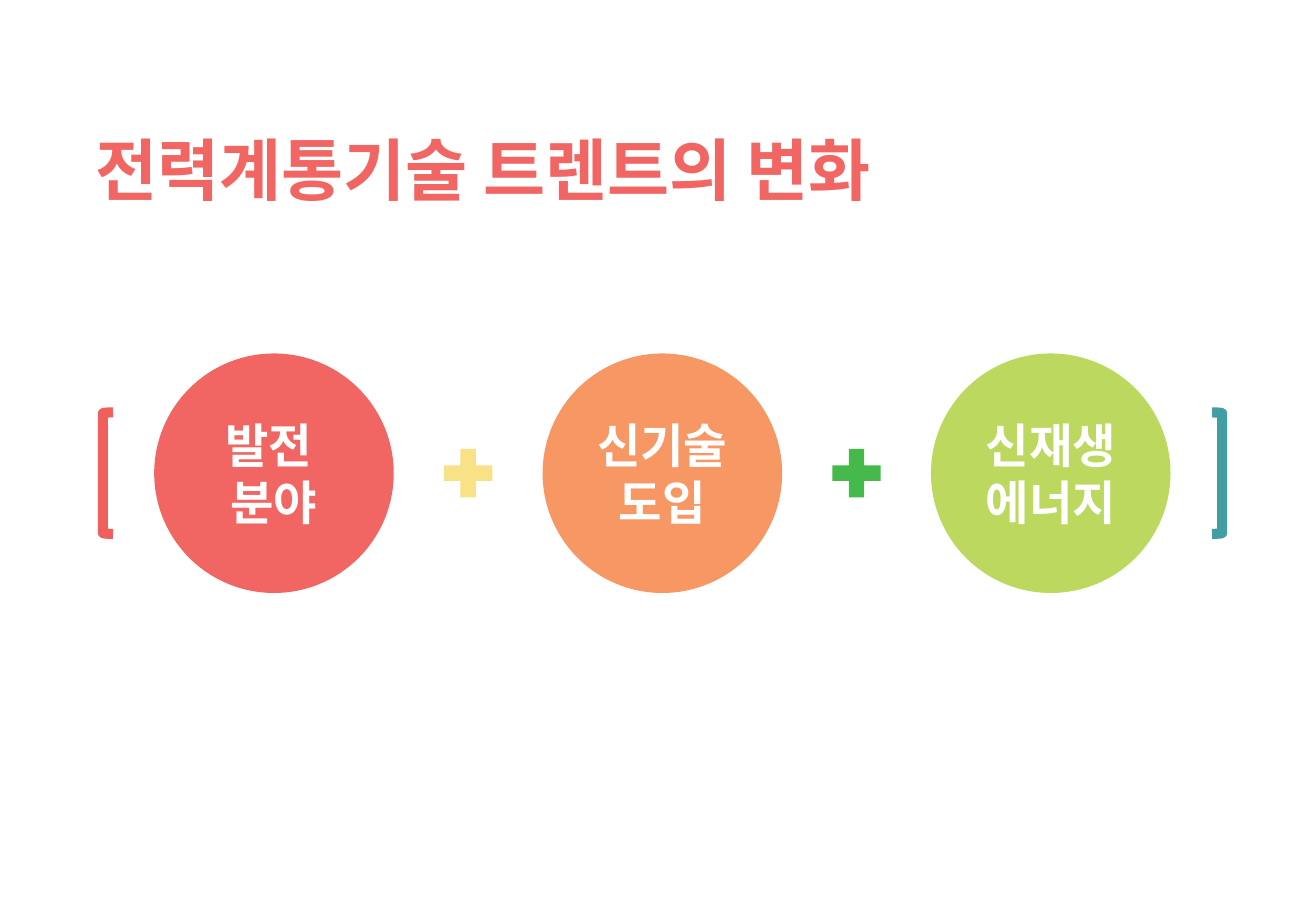
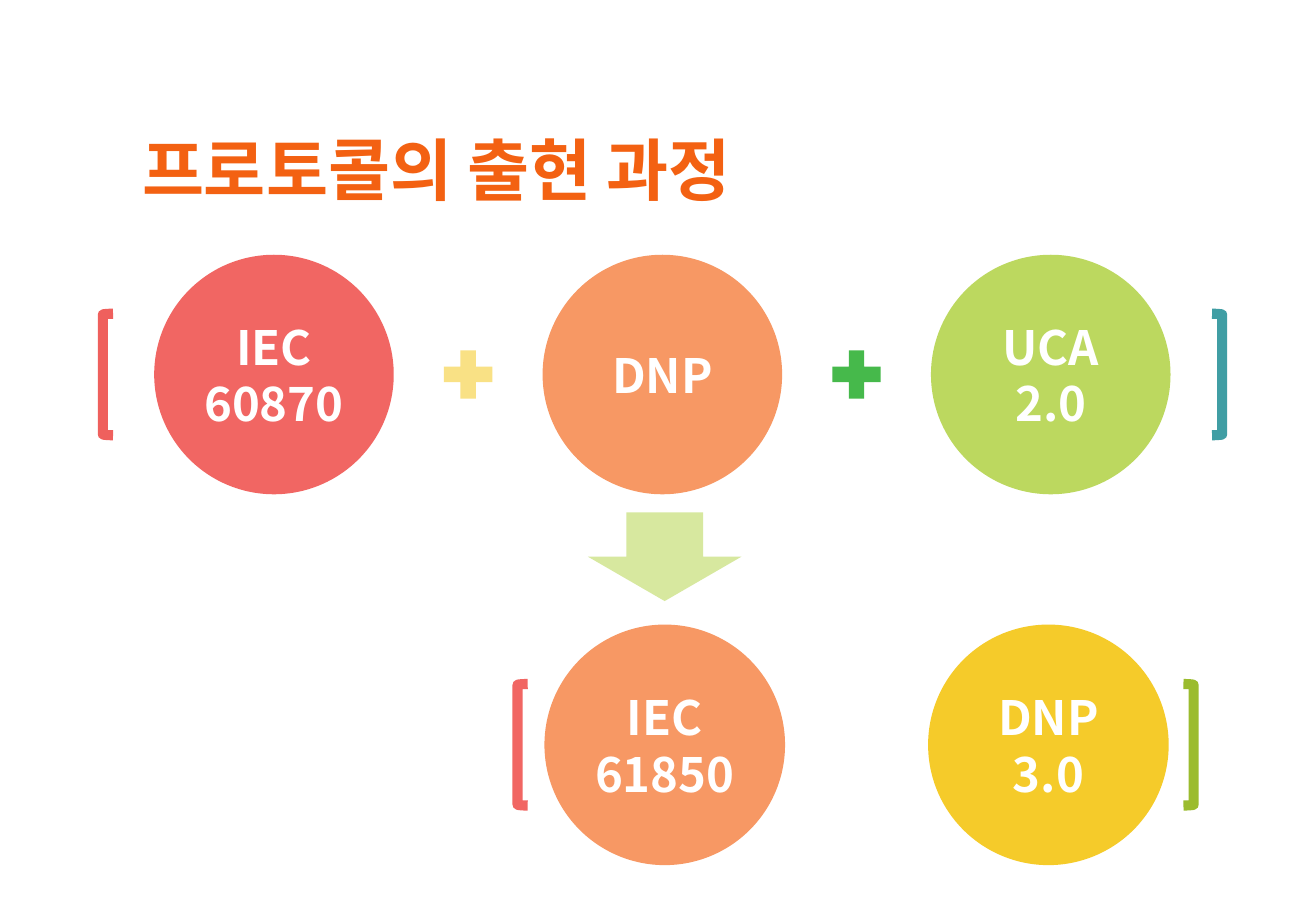
from pptx import Presentation
from pptx.dml.color import RGBColor
from pptx.enum.shapes import MSO_SHAPE
from pptx.enum.text import MSO_ANCHOR, MSO_AUTO_SIZE, PP_ALIGN
from pptx.util import Pt

FONT = "Noto Sans CJK KR"
CORAL, ORANGE, LIME, YELLOW = "F16663", "F79864", "BCD85F", "F5CB2A"
CIRCLE, PLUS, BRACKET_W, BRACKET_H = 142, 39, 6, 72
FIRST_X, PITCH = 162.4, 230.2


def style(p, size, color):
    p.font.name = FONT
    p.font.size = Pt(size)
    p.font.bold = True
    p.font.color.rgb = RGBColor.from_string(color)


def add_centred(s, kind, cx, cy, w, h, color, lines=()):
    """Add a shape around (cx, cy); brackets are outlined, all others filled."""
    sp = s.shapes.add_shape(kind, Pt(cx - w / 2), Pt(cy - h / 2), Pt(w), Pt(h))
    sp.shadow.inherit = False
    rgb = RGBColor.from_string(color)
    if kind in (MSO_SHAPE.LEFT_BRACKET, MSO_SHAPE.RIGHT_BRACKET):
        sp.fill.background()
        sp.line.color.rgb = rgb
        sp.line.width = Pt(6)
    else:
        sp.fill.solid()
        sp.fill.fore_color.rgb = rgb
        sp.line.fill.background()
    tf = sp.text_frame
    tf.vertical_anchor = MSO_ANCHOR.MIDDLE
    for i, text in enumerate(lines):
        p = tf.add_paragraph() if i else tf.paragraphs[0]
        p.text = text
        p.alignment = PP_ALIGN.CENTER
        style(p, 28, "FFFFFF")


prs = Presentation()
prs.slide_width, prs.slide_height = Pt(780), Pt(540)

# title, title colour, title left, title width, row centre, circle texts
slides = [
    ("전력계통기술 트렌트의 변화", CORAL, 49.7, 528, 280.5,
     [["발전 ", "분야"], ["신기술", "도입"], ["신재생", "에너지"]]),
    ("프로토콜의 출현 과정", "F36112", 77, 397.5, 222,
     [["IEC 60870"], ["DNP"], ["UCA", "2.0"]]),
]

for title, color, left, width, cy, texts in slides:
    s = prs.slides.add_slide(prs.slide_layouts[5])
    sp = s.shapes.title
    sp.left, sp.top, sp.width, sp.height = Pt(left), Pt(72), Pt(width), Pt(55.5)
    tf = sp.text_frame
    tf.text = title
    tf.word_wrap = False
    tf.auto_size = MSO_AUTO_SIZE.SHAPE_TO_FIT_TEXT
    tf.vertical_anchor = MSO_ANCHOR.TOP
    tf.paragraphs[0].alignment = PP_ALIGN.LEFT
    style(tf.paragraphs[0], 40, color)

    add_centred(s, MSO_SHAPE.LEFT_BRACKET, 64, cy, BRACKET_W, BRACKET_H, "EF605D")
    add_centred(s, MSO_SHAPE.RIGHT_BRACKET, 721.4, cy, BRACKET_W, BRACKET_H, "409EA4")
    for i, (fill, lines) in enumerate(zip((CORAL, ORANGE, LIME), texts)):
        add_centred(s, MSO_SHAPE.OVAL, FIRST_X + i * PITCH, cy, CIRCLE, CIRCLE, fill, lines)
    for i, fill in enumerate(("F9E185", "46B94B")):
        add_centred(s, MSO_SHAPE.MATH_PLUS, FIRST_X + (i + 0.5) * PITCH, cy, PLUS, PLUS, fill)

# Resulting protocols, below the row of the second slide
result_y = 441.5
add_centred(s, MSO_SHAPE.DOWN_ARROW, 394, 330, 91, 52.6, "D7E89F")
for cx, fill, lines in ((394, ORANGE, ["IEC", "61850"]), (621.4, YELLOW, ["DNP", "3.0"])):
    add_centred(s, MSO_SHAPE.OVAL, cx, result_y, 142.6, 142.6, fill, lines)
add_centred(s, MSO_SHAPE.LEFT_BRACKET, 309.8, result_y, BRACKET_W, BRACKET_H, CORAL)
add_centred(s, MSO_SHAPE.RIGHT_BRACKET, 704.5, result_y, BRACKET_W, BRACKET_H, "9BBC2E")

prs.save("out.pptx")
